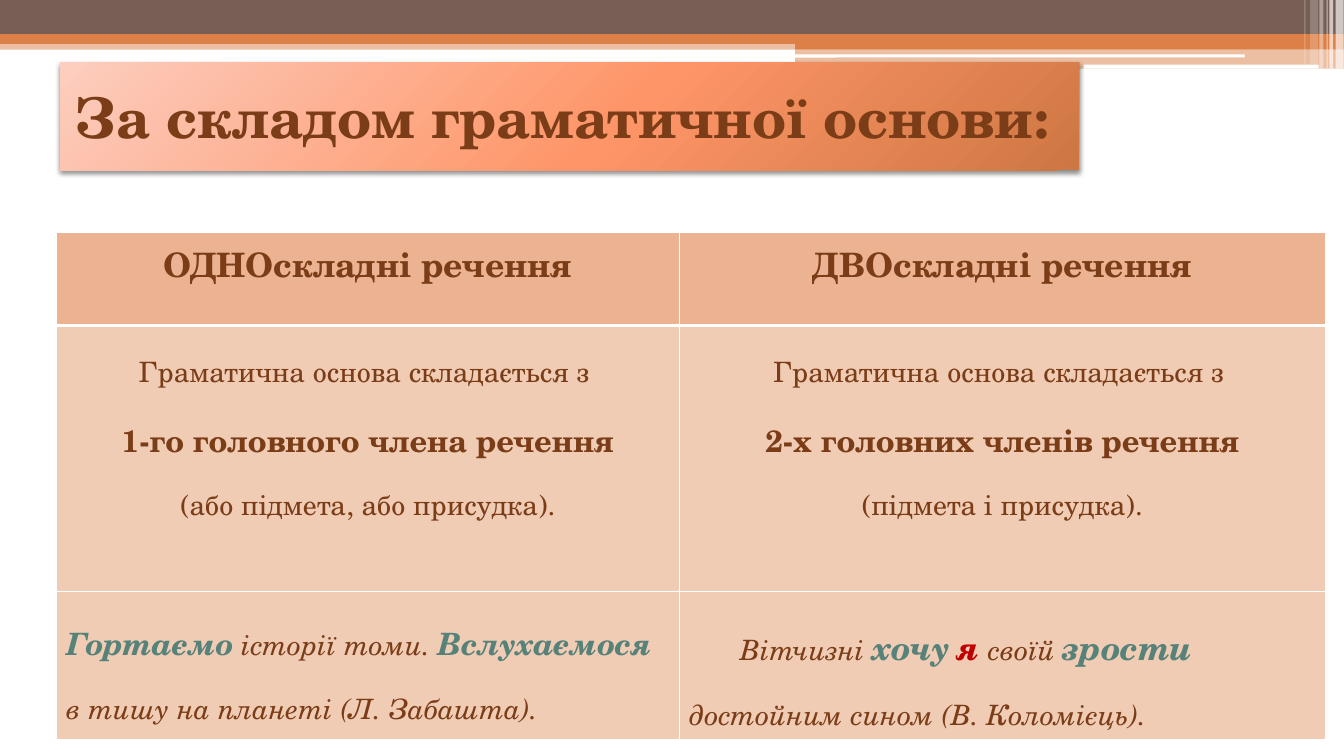
"""Build the slide on one-member and two-member sentences."""
from lxml import etree
from pptx import Presentation
from pptx.dml.color import RGBColor
from pptx.enum.shapes import MSO_SHAPE as Shape
from pptx.enum.text import MSO_ANCHOR as Anchor, PP_ALIGN as Align
from pptx.oxml import parse_xml
from pptx.oxml.ns import nsdecls, qn
from pptx.util import Cm, Pt

ORANGE, BROWN, WHITE = "DD8047", "775F55", "FFFFFF"
INK, TEAL, RED = "7B3D17", "578279", "C00000"
HEADER_FILL, BODY_FILL = "EBB391", "F1CCB5"


def color(code):
    return RGBColor.from_string(code)


class SlideBuilder:
    font_name = "TeX Gyre Schola"

    def __init__(self, slide):
        self.slide = slide

    def box(self, left, top, width, height, fill=None, opacity=100, kind=Shape.RECTANGLE):
        shape = self.slide.shapes.add_shape(kind, Cm(left), Cm(top), Cm(width), Cm(height))
        shape.shadow.inherit = False
        shape.line.fill.background()
        if fill:
            shape.fill.solid()
            shape.fill.fore_color.rgb = color(fill)
            if opacity < 100:
                tint = shape._element.spPr.find(qn("a:solidFill"))[0]
                etree.SubElement(tint, qn("a:alpha"), val=str(opacity * 1000))
        return shape

    def style(self, font, size, ink, bold):
        font.size = Pt(size)
        font.color.rgb = color(ink)
        font.bold = bold

    def text(self, frame, lines, align=Align.CENTER, spacing=None, italic=False, indent=0):
        for number, pieces in enumerate(lines):
            paragraph = frame.add_paragraph() if number else frame.paragraphs[0]
            paragraph.alignment = align
            paragraph.line_spacing = spacing
            paragraph.font.name = self.font_name
            paragraph.font.italic = italic
            if indent:
                paragraph._p.get_or_add_pPr().set("indent", str(Cm(indent)))
            for words, *look in pieces:
                run = paragraph.add_run()
                run.text = words
                self.style(paragraph.font if len(pieces) == 1 else run.font, *look)

    def title(self, words, left, top, width, height):
        banner = self.box(left, top, width, height)
        stops = "".join(
            f'<a:gs pos="{place * 1000}"><a:srgbClr val="{code}"/></a:gs>'
            for place, code in ((0, "FDCEBF"), (55, "FE9568"), (100, "CE7742")))
        gradient = parse_xml(
            f'<a:gradFill {nsdecls("a")}><a:gsLst>{stops}</a:gsLst><a:path path="circle">'
            '<a:fillToRect l="-40000" t="-90000" r="140000" b="190000"/></a:path></a:gradFill>')
        banner._element.spPr.find(qn("a:prstGeom")).addnext(gradient)
        shadow = parse_xml(
            f'<a:outerShdw {nsdecls("a")} blurRad="{Pt(4)}" dist="{Pt(2)}" dir="5400000" rotWithShape="0">'
            '<a:srgbClr val="000000"><a:alpha val="45000"/></a:srgbClr></a:outerShdw>')
        banner._element.spPr.find(qn("a:effectLst")).append(shadow)
        banner.text_frame.word_wrap = True
        banner.text_frame.vertical_anchor = Anchor.MIDDLE
        self.text(banner.text_frame, [[(words, 40, INK, True)]])

    def table(self, left, top, widths, heights):
        table = self.slide.shapes.add_table(
            len(heights), len(widths), Cm(left), Cm(top), Cm(sum(widths)), Cm(sum(heights))).table
        for column, width in zip(table.columns, widths):
            column.width = Cm(width)
        for row, height in zip(table.rows, heights):
            row.height = Cm(height)
        return table

    def cell(self, cell, fill, borders, lines, **layout):
        for side, weight in borders.items():
            cell._tc.get_or_add_tcPr().append(parse_xml(
                f'<a:ln{side} {nsdecls("a")} w="{Pt(weight)}"><a:solidFill>'
                f'<a:srgbClr val="{WHITE}"/></a:solidFill></a:ln{side}>'))
        cell.fill.solid()
        cell.fill.fore_color.rgb = color(fill)
        self.text(cell.text_frame, lines, **layout)


def main():
    deck = Presentation()
    deck.slide_width, deck.slide_height = Cm(33.87), Cm(19.05)
    page = SlideBuilder(deck.slides.add_slide(deck.slide_layouts[6]))

    for band in (
        (0, 1.02, 33.87, 0.23, ORANGE, 50),
        (0, 0, 33.87, 0.86, BROWN),
        (0, 0.86, 33.87, 0.25, ORANGE),
        (20.04, 0.99, 13.83, 0.25, ORANGE),
        (20.04, 1.22, 13.83, 0.51, ORANGE, 50),
        (20.02, 1.37, 11.35, 0.08, WHITE, 100, Shape.ROUNDED_RECTANGLE),
        (27.31, 1.63, 5.92, 0.1, WHITE, 100, Shape.ROUNDED_RECTANGLE),
    ):
        page.box(*band)
    for left, width, height, opacity in (
        (33.66, 0.2, 1.73, 65), (33.5, 0.1, 1.73, 65), (33.43, 0.03, 1.73, 60),
        (33.25, 0.1, 1.73, 40), (33.02, 0.2, 1.63, 20), (32.87, 0.03, 1.63, 30),
    ):
        page.box(left, 0, width, height, WHITE, opacity)

    page.title("За складом граматичної основи: ", 1.52, 1.57, 25.68, 2.72)

    kinds = (
        ("ОДНОскладні речення", "1-го головного члена речення", "(або підмета, або присудка).",
         [("Гортаємо", 22, TEAL, True), (" історії томи. ", 20, INK, False),
          ("Вслухаємося ", 22, TEAL, True),
          ("в тишу на планеті (Л. Забашта).", 20, INK, False)], 0),
        ("ДВОскладні речення", "2-х головних членів речення", "(підмета і присудка).",
         [("Вітчизні ", 20, INK, False), ("хочу", 24, TEAL, True), (" ", 20, INK, False),
          ("я", 24, RED, True), (" своїй ", 20, INK, False), ("зрости", 24, TEAL, True),
          (" достойним сином (В. Коломієць).", 20, INK, False)], 1.27),
    )
    thin = dict.fromkeys("LRTB", 1)
    under_header = {**thin, "T": 3}
    comparison = page.table(1.42, 5.86, (15.7, 16.28), (2.34, 6.7, 3.73))
    for column, (heading, members, detail, example, indent) in enumerate(kinds):
        page.cell(comparison.cell(0, column), HEADER_FILL, {**thin, "B": 3},
                  [[(heading, 24, INK, True)]])
        page.cell(comparison.cell(1, column), BODY_FILL, under_header,
                  [[("Граматична основа складається з ", 20, INK, False)],
                   [(members, 22, INK, True)], [(detail, 20, INK, False)]], spacing=1.5)
        page.cell(comparison.cell(2, column), BODY_FILL, thin, [example],
                  align=Align.LEFT, spacing=1.5, italic=True, indent=indent)

    deck.save("out.pptx")


if __name__ == "__main__":
    main()
